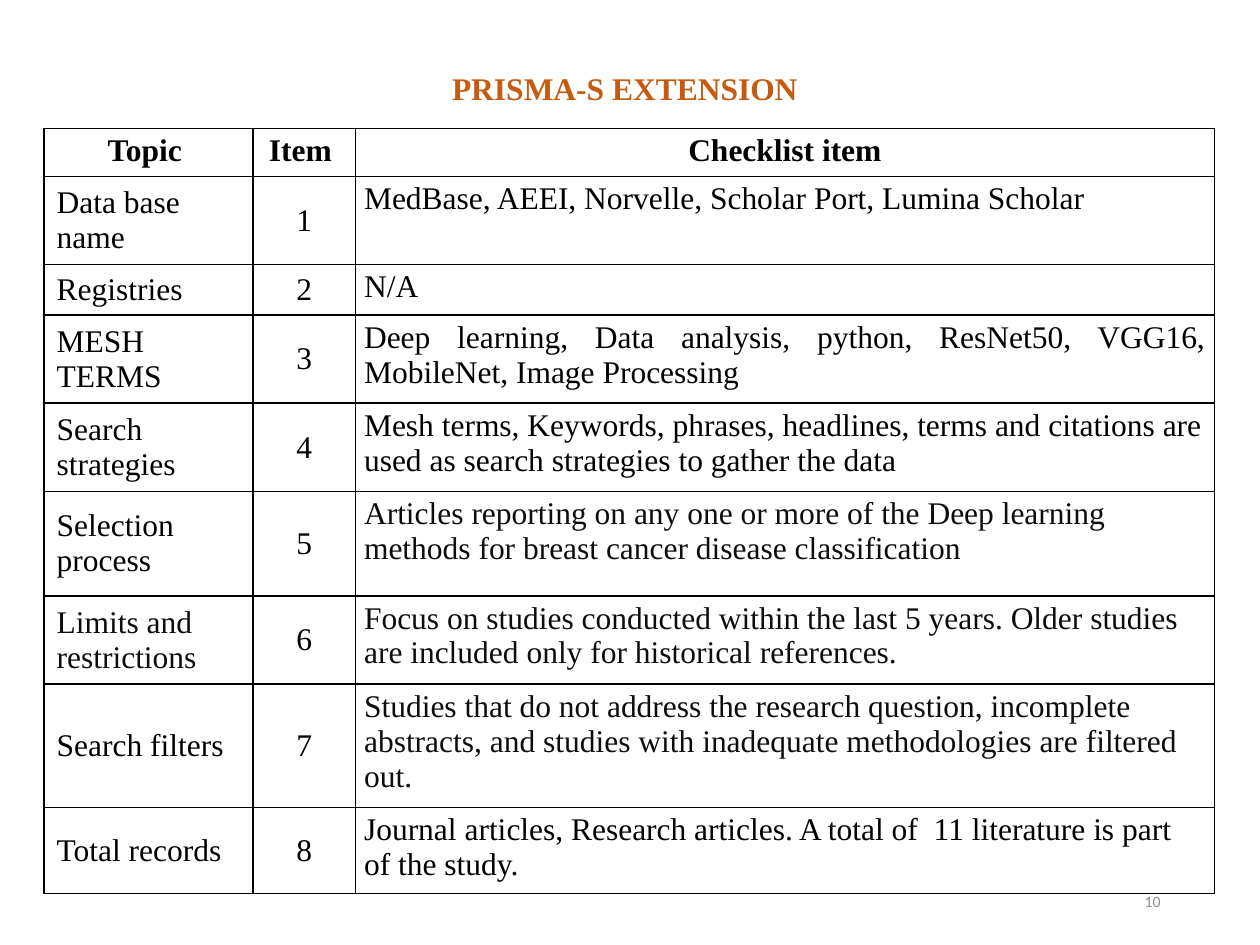
from lxml.etree import SubElement
from pptx import Presentation
from pptx.dml.color import RGBColor
from pptx.enum.text import MSO_ANCHOR, PP_ALIGN
from pptx.oxml.ns import qn
from pptx.util import Inches, Pt

COLORS = {
    "title": "C55A11",
    "text": "000000",
    "soft_text": "0D0D0D",
    "border": "000000",
    "page_number": "8C8C8C",
}
COLUMN_WIDTHS = [1.66, 0.81, 6.82]
ROW_HEIGHTS = [0.38, 0.7, 0.4, 0.7, 0.7, 0.83, 0.7, 0.98, 0.68]
HEADERS = ["Topic ", "Item ", "Checklist item"]

# Topic, checklist text, topic colour, format of the checklist text
CHECKLIST = [
    ("Data base name", "MedBase, AEEI, Norvelle, Scholar Port, Lumina Scholar", "text", {}),
    ("Registries", "N/A", "text", {"space": 6}),
    ("MESH TERMS",
     "Deep learning, Data analysis, python, ResNet50, VGG16, MobileNet, Image Processing",
     "text", {"align": PP_ALIGN.JUSTIFY}),
    ("Search strategies",
     "Mesh terms, Keywords, phrases, headlines, terms and citations are used as search "
     "strategies to gather the data", "text", {}),
    ("Selection process",
     "Articles reporting on any one or more of the Deep learning methods for breast cancer "
     "disease classification", "text", {"color": "soft_text"}),
    ("Limits and restrictions",
     "Focus on studies conducted within the last 5 years. Older studies are included only "
     "for historical references.", "soft_text", {"color": "soft_text"}),
    ("Search filters",
     "Studies that do not address the research question, incomplete abstracts, and studies "
     "with inadequate methodologies are filtered out.", "text", {"color": "soft_text"}),
    ("Total records",
     "Journal articles, Research articles. A total of  11 literature is part of the study.",
     "text", {}),
]


def write_text(text_frame, text, size=18, font="Times New Roman", color="text",
               bold=False, align=PP_ALIGN.LEFT, line_spacing=None, space=0):
    """Write one formatted paragraph."""
    paragraph = text_frame.paragraphs[0]
    paragraph.alignment = align
    paragraph.line_spacing = line_spacing
    paragraph.space_before = paragraph.space_after = Pt(space)
    run = paragraph.add_run()
    run.text = text
    run.font.size = Pt(size)
    run.font.name = font
    run.font.bold = bold
    run.font.color.rgb = RGBColor.from_string(COLORS[color])


def add_borders(cell):
    """Draw a 1 pt line on each side of a cell."""
    properties = cell._tc.get_or_add_tcPr()
    for side in ("a:lnL", "a:lnR", "a:lnT", "a:lnB"):
        line = SubElement(properties, qn(side), w=str(Pt(1)))
        fill = SubElement(line, qn("a:solidFill"))
        SubElement(fill, qn("a:srgbClr"), val=COLORS["border"])


def fill_cell(cell, text, anchor=MSO_ANCHOR.TOP, narrow=True, **text_format):
    if narrow:
        cell.margin_left = cell.margin_right = Inches(0.07)
        cell.margin_top = cell.margin_bottom = Inches(0.04)
    cell.vertical_anchor = anchor
    write_text(cell.text_frame, text, **text_format)
    add_borders(cell)
    cell.fill.background()


def add_title(slide, text):
    title = slide.shapes.title
    title.left, title.top = Inches(0.43), Inches(0.42)
    title.width, title.height = Inches(9.06), Inches(0.6)
    title.text_frame.vertical_anchor = MSO_ANCHOR.MIDDLE
    write_text(title.text_frame, text, color="title", bold=True,
               align=PP_ALIGN.CENTER, line_spacing=0.9)


def add_checklist_table(slide):
    frame = slide.shapes.add_table(
        len(ROW_HEIGHTS), len(COLUMN_WIDTHS), Inches(0.35), Inches(1.02),
        Inches(sum(COLUMN_WIDTHS)), Inches(sum(ROW_HEIGHTS)))
    table = frame.table
    table.horz_banding = False
    table.first_row = False
    for column, width in zip(table.columns, COLUMN_WIDTHS):
        column.width = Inches(width)
    for row, height in zip(table.rows, ROW_HEIGHTS):
        row.height = Inches(height)

    # Header row
    for index, header in enumerate(HEADERS):
        fill_cell(table.cell(0, index), header, bold=True, align=PP_ALIGN.CENTER)

    # Numbered checklist rows
    for number, (topic, item, topic_color, item_format) in enumerate(CHECKLIST, start=1):
        fill_cell(table.cell(number, 0), topic, anchor=MSO_ANCHOR.MIDDLE,
                  narrow=False, color=topic_color)
        fill_cell(table.cell(number, 1), str(number), anchor=MSO_ANCHOR.MIDDLE,
                  align=PP_ALIGN.CENTER)
        fill_cell(table.cell(number, 2), item, **item_format)


def add_page_number(slide, number):
    box = slide.shapes.add_textbox(Inches(7.06), Inches(6.95), Inches(2.25), Inches(0.4))
    box.text_frame.word_wrap = True
    box.text_frame.vertical_anchor = MSO_ANCHOR.MIDDLE
    write_text(box.text_frame, str(number), size=9, font="Calibri",
               color="page_number", align=PP_ALIGN.RIGHT)


def main():
    presentation = Presentation()
    presentation.slide_width = Inches(10)
    presentation.slide_height = Inches(7.5)
    slide = presentation.slides.add_slide(presentation.slide_layouts.get_by_name("Title Only"))
    add_title(slide, "PRISMA-S EXTENSION")
    add_checklist_table(slide)
    add_page_number(slide, 10)
    presentation.save("out.pptx")


if __name__ == "__main__":
    main()
